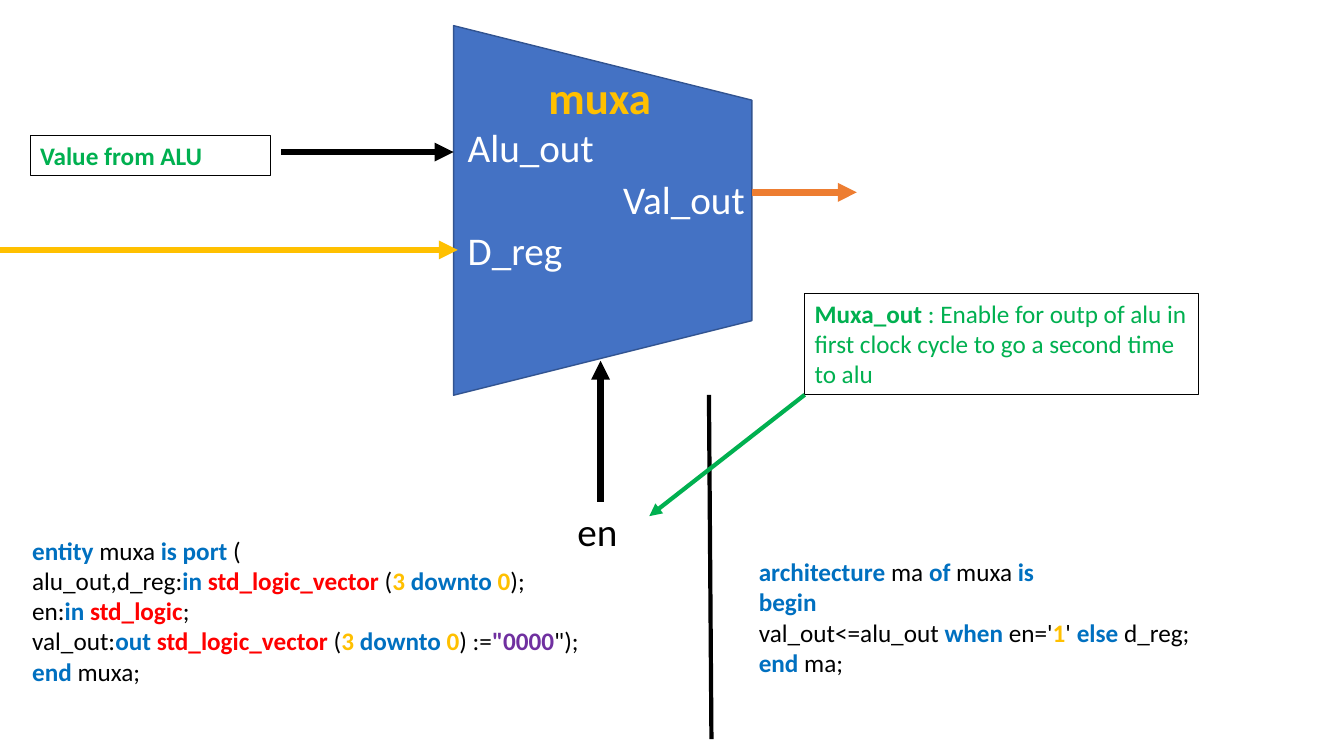
"""Build a slide that explains the muxa multiplexer and its VHDL code."""
from dataclasses import dataclass

from lxml import etree
from pptx import Presentation
from pptx.dml.color import RGBColor
from pptx.enum.shapes import MSO_CONNECTOR, MSO_SHAPE
from pptx.enum.text import MSO_ANCHOR, MSO_AUTO_SIZE, PP_ALIGN
from pptx.oxml.ns import qn
from pptx.util import Inches, Pt

TRAPEZOID = MSO_SHAPE.TRAPEZOID
STRAIGHT = MSO_CONNECTOR.STRAIGHT
LEFT = PP_ALIGN.LEFT
TOP = MSO_ANCHOR.TOP
FIT_SHAPE = MSO_AUTO_SIZE.SHAPE_TO_FIT_TEXT

SLIDE_WIDTH, SLIDE_HEIGHT = Inches(13.333), Inches(7.5)
COLUMNS, ROWS = 160, 90
TITLE_ONLY = 5
FONT = "Calibri"

COLORS = {
    "black": "000000",
    "white": "FFFFFF",
    "block": "4472C4",
    "block_edge": "325491",
    "orange": "ED7D31",
    "yellow": "FFC000",
    "green": "00B050",
    "keyword": "0070C0",
    "type": "FF0000",
    "string": "7030A0",
}


@dataclass(frozen=True)
class Run:
    text: str
    color: str = "black"
    bold: bool = False


@dataclass(frozen=True)
class Box:
    column: float
    row: float
    columns: float
    rows: float
    lines: list[list[Run]]
    size: int = 18
    border: str | None = None


@dataclass(frozen=True)
class Line:
    start: tuple[float, float]
    end: tuple[float, float]
    color: str
    width: float = 4.5
    arrow: bool = True


def keyword(text: str) -> Run:
    return Run(text, "keyword", True)


def data_type(text: str) -> Run:
    return Run(text, "type", True)


def number(text: str) -> Run:
    return Run(text, "yellow", True)


def port_label(column: float, row: float, text: str, color: str = "white") -> Box:
    return Box(column, row, 19.45, 6.85, [[Run(text, color)]], size=28)


VECTOR = [data_type("std_logic_vector "), Run("("), number("3 "), keyword("downto "), number("0")]

ENTITY = [
    [keyword("entity "), Run("muxa "), keyword("is port"), Run(" (")],
    [Run("alu_out,d_reg:"), keyword("in "), *VECTOR, Run(");")],
    [Run("en:"), keyword("in "), data_type("std_logic"), Run(";")],
    [Run("val_out:"), keyword("out "), *VECTOR, Run(") :="),
     Run('"0000', "string", True), Run('");')],
    [keyword("end "), Run("muxa;")],
]

ARCHITECTURE = [
    [keyword("architecture"), Run(" ma "), keyword("of "), Run("muxa "), keyword("is")],
    [keyword("begin")],
    [Run("val_out<=alu_out "), keyword("when "), Run("en='"), number("1"), Run("' "),
     keyword("else "), Run("d_reg;")],
    [keyword("end"), Run(" ma;")],
]

NOTE = [[
    Run("Muxa_out ", "green", True),
    Run(": Enable for outp of alu in first clock cycle to go a second time to alu", "green"),
]]

TITLE = Box(64.1, 7.7, 20.3, 7.7, [[Run("muxa", "yellow", True)]], size=32)

BOXES = [
    port_label(54.5, 14.05, "Alu_out"),
    port_label(54.5, 26.3, "D_reg"),
    port_label(73, 20.3, "Val_out"),
    port_label(67.55, 59.75, "en", "black"),
    Box(2.65, 63.1, 84.35, 19.45, ENTITY),
    Box(89.15, 65.65, 68.15, 15.7, ARCHITECTURE),
    Box(95.8, 34.9, 46.9, 12.1, NOTE, border="black"),
    Box(3.6, 16.1, 28.55, 4.8, [[Run("Value from ALU", "green", True)]], border="black"),
]

LINES = [
    Line((71.5, 59.75), (71.5, 42.95), "black"),
    Line((33.5, 18.1), (54, 18.1), "black"),
    Line((89.5, 22.9), (102, 22.9), "orange"),
    Line((84.4, 47), (84.7, 88), "black", width=3, arrow=False),
    Line((95.8, 47), (77.3, 61.45), "green", width=3),
    Line((0, 29.75), (54.5, 29.75), "yellow"),
]


def across(columns: float) -> int:
    return round(SLIDE_WIDTH * columns / COLUMNS)


def down(rows: float) -> int:
    return round(SLIDE_HEIGHT * rows / ROWS)


def rgb(name: str) -> RGBColor:
    return RGBColor.from_string(COLORS[name])


def add_run(paragraph, text: str, *, size: int, color: str, bold: bool) -> None:
    run = paragraph.add_run()
    run.text = text
    run.font.name = FONT
    run.font.size = Pt(size)
    run.font.bold = bold
    run.font.color.rgb = rgb(color)


def fill_box(shape, box: Box) -> None:
    shape.left, shape.top = across(box.column), down(box.row)
    shape.width, shape.height = across(box.columns), down(box.rows)
    frame = shape.text_frame
    frame.word_wrap = True
    frame.auto_size = FIT_SHAPE
    frame.vertical_anchor = TOP
    for index, line in enumerate(box.lines):
        paragraph = frame.add_paragraph() if index else frame.paragraphs[0]
        paragraph.alignment = LEFT
        for run in line:
            add_run(paragraph, run.text, size=box.size, color=run.color, bold=run.bold)
    if box.border:
        shape.line.color.rgb = rgb(box.border)
        shape.line.width = Pt(0.75)


def add_block(slide) -> None:
    block = slide.shapes.add_shape(TRAPEZOID, across(49.75), down(7.3), across(44), down(35.5))
    block.rotation = 90
    block.shadow.inherit = False
    block.fill.solid()
    block.fill.fore_color.rgb = rgb("block")
    block.line.color.rgb = rgb("block_edge")
    block.line.width = Pt(1)


def add_line(slide, line: Line) -> None:
    (left, top), (right, bottom) = line.start, line.end
    connector = slide.shapes.add_connector(
        STRAIGHT, across(left), down(top), across(right), down(bottom))
    connector.line.color.rgb = rgb(line.color)
    connector.line.width = Pt(line.width)
    if line.arrow:
        etree.SubElement(connector.line._get_or_add_ln(), qn("a:tailEnd"), type="triangle")
    etree.SubElement(connector._element.spPr, qn("a:effectLst"))


def main() -> None:
    presentation = Presentation()
    presentation.slide_width, presentation.slide_height = SLIDE_WIDTH, SLIDE_HEIGHT
    slide = presentation.slides.add_slide(presentation.slide_layouts[TITLE_ONLY])
    add_block(slide)
    title = slide.shapes.title
    slide.shapes._spTree.append(title._element)
    fill_box(title, TITLE)
    for box in BOXES:
        fill_box(slide.shapes.add_textbox(0, 0, 0, 0), box)
    for line in LINES:
        add_line(slide, line)
    presentation.save("out.pptx")


if __name__ == "__main__":
    main()
